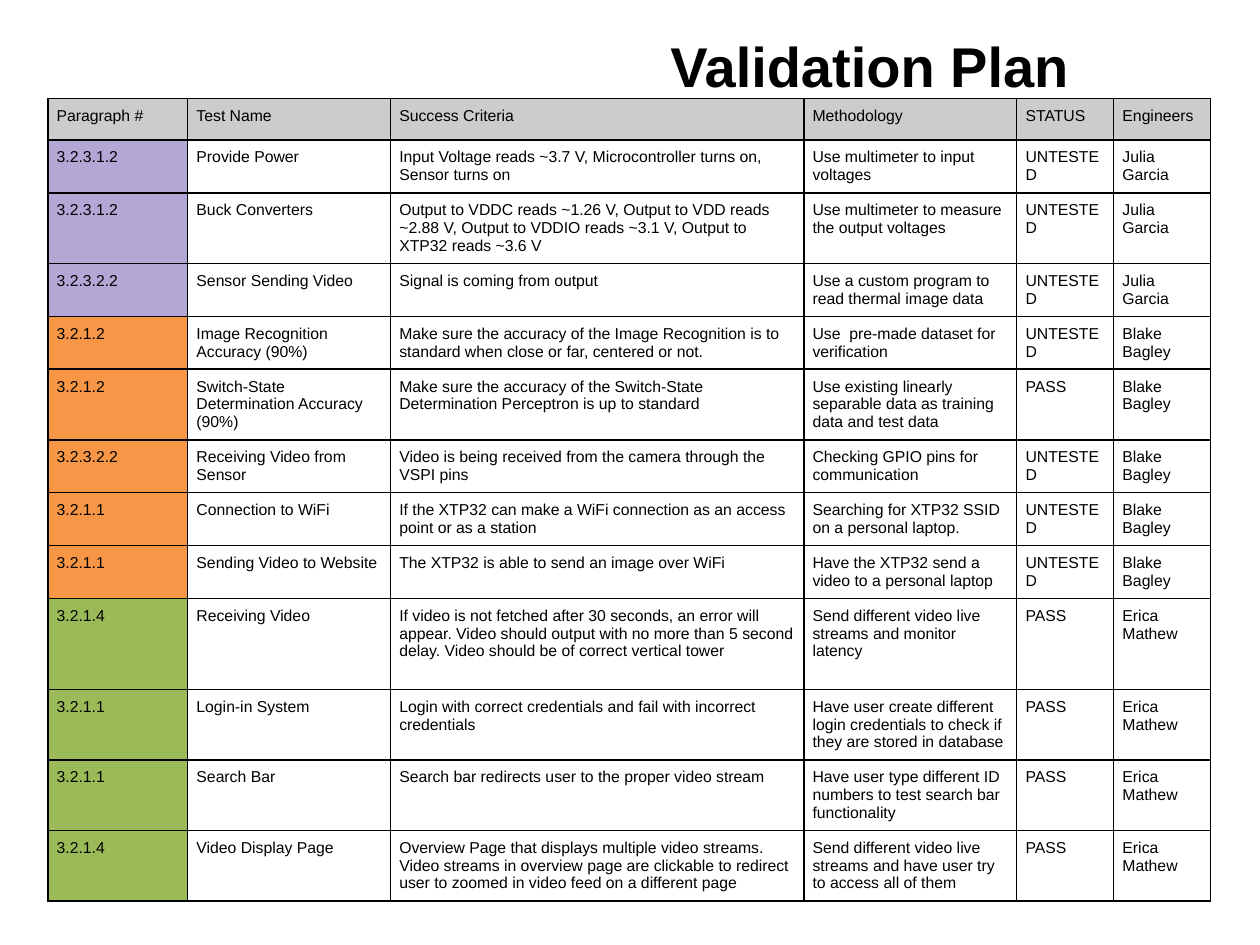
from lxml import etree
from pptx import Presentation
from pptx import util as u
from pptx.dml.color import RGBColor
from pptx.enum import text
from pptx.oxml.ns import qn

TITLE = "Validation Plan "
HEADERS = ["Paragraph #", "Test Name", "Success Criteria", "Methodology", "STATUS", "Engineers"]
GROUPS = [
    ("Julia Garcia", "B4A7D6", [
        ("3.2.3.1.2", "Provide Power",
         "Input Voltage reads ~3.7 V, Microcontroller turns on, Sensor turns on",
         "Use multimeter to input voltages", "UNTESTED"),
        ("3.2.3.1.2", "Buck Converters",
         "Output to VDDC reads ~1.26 V, Output to VDD reads ~2.88 V, "
         "Output to VDDIO reads ~3.1 V, Output to XTP32 reads ~3.6 V",
         "Use multimeter to measure the output voltages", "UNTESTED"),
        ("3.2.3.2.2", "Sensor Sending Video", "Signal is coming from output",
         "Use a custom program to read thermal image data", "UNTESTED"),
    ]),
    ("Blake Bagley", "F79646", [
        ("3.2.1.2", "Image Recognition Accuracy (90%)",
         "Make sure the accuracy of the Image Recognition is to standard "
         "when close or far, centered or not.",
         "Use  pre-made dataset for verification", "UNTESTED"),
        ("3.2.1.2", "Switch-State Determination Accuracy (90%)",
         "Make sure the accuracy of the Switch-State Determination Perceptron is up to standard",
         "Use existing linearly separable data as training data and test data", "PASS"),
        ("3.2.3.2.2", "Receiving Video from Sensor",
         "Video is being received from the camera through the VSPI pins",
         "Checking GPIO pins for communication", "UNTESTED"),
        ("3.2.1.1", "Connection to WiFi",
         "If the XTP32 can make a WiFi connection as an access point or as a station",
         "Searching for XTP32 SSID on a personal laptop.", "UNTESTED"),
        ("3.2.1.1", "Sending Video to Website",
         "The XTP32 is able to send an image over WiFi",
         "Have the XTP32 send a video to a personal laptop", "UNTESTED"),
    ]),
    ("Erica Mathew", "9BBB59", [
        ("3.2.1.4", "Receiving Video",
         "If video is not fetched after 30 seconds, an error will appear. Video should output "
         "with no more than 5 second delay. Video should be of correct vertical tower",
         "Send different video live streams and monitor latency", "PASS"),
        ("3.2.1.1", "Login-in System",
         "Login with correct credentials and fail with incorrect credentials",
         "Have user create different login credentials to check if they are stored in database",
         "PASS"),
        ("3.2.1.1", "Search Bar", "Search bar redirects user to the proper video stream",
         "Have user type different ID numbers to test search bar functionality", "PASS"),
        ("3.2.1.4", "Video Display Page",
         "Overview Page that displays multiple video streams. Video streams in overview page "
         "are clickable to redirect user to zoomed in video feed on a different page",
         "Send different video live streams and have user try to access all of them", "PASS"),
    ]),
]
COL_WIDTHS = [1.11, 1.61, 3.28, 1.69, 0.77, 0.77]
ROW_HEIGHTS = [0.33, 0.42, 0.56, 0.42, 0.42, 0.56, 0.42, 0.42, 0.42, 0.72, 0.56, 0.56, 0.56]
THEME = dict(font="Arial", ink="000000", header="CCCCCC", paper="FFFFFF",
             title=32, body=9, border=1, inset=0.07)


def set_font(p, size, bold=False):
    f = p.font
    f.name, f.size, f.bold = THEME["font"], u.Pt(size), bold
    f.color.rgb = RGBColor.from_string(THEME["ink"])


def set_borders(cell):
    tcPr = cell._tc.get_or_add_tcPr()
    for i, side in enumerate(("lnL", "lnR", "lnT", "lnB")):
        ln = etree.Element(qn(f"a:{side}"), w=str(u.Pt(THEME["border"])))
        fill = etree.SubElement(ln, qn("a:solidFill"))
        etree.SubElement(fill, qn("a:srgbClr"), val=THEME["ink"])
        tcPr.insert(i, ln)


def fill_cell(cell, words, color):
    cell.text = words
    cell.margin_left = cell.margin_right = u.Inches(THEME["inset"])
    cell.margin_top = cell.margin_bottom = u.Inches(THEME["inset"])
    cell.fill.solid()
    cell.fill.fore_color.rgb = RGBColor.from_string(color)
    set_borders(cell)
    set_font(cell.text_frame.paragraphs[0], THEME["body"])


def add_plan(s):
    rows = [(HEADERS, [THEME["header"]] * len(HEADERS))]
    for engineer, color, tests in GROUPS:
        colors = [color] + [THEME["paper"]] * (len(HEADERS) - 1)
        rows += [([*test, engineer], colors) for test in tests]
    tbl = s.shapes.add_table(len(rows), len(HEADERS), u.Inches(0.38), u.Inches(0.78),
                             u.Inches(sum(COL_WIDTHS)), u.Inches(sum(ROW_HEIGHTS))).table
    for col, width in zip(tbl.columns, COL_WIDTHS):
        col.width = u.Inches(width)
    for row, height, (words, colors) in zip(tbl.rows, ROW_HEIGHTS, rows):
        row.height = u.Inches(height)
        for cell, word, color in zip(row.cells, words, colors):
            fill_cell(cell, word, color)


def add_title(s):
    sp = s.shapes.title
    sp.left, sp.top, sp.width, sp.height = map(u.Inches, (4.24, 0.08, 5.45, 0.88))
    tf = sp.text_frame
    tf.text = TITLE
    tf.vertical_anchor = text.MSO_ANCHOR.MIDDLE
    p = tf.paragraphs[0]
    p.alignment = text.PP_ALIGN.CENTER
    set_font(p, THEME["title"], bold=True)
    s.shapes._spTree.append(sp._element)


def main():
    prs = Presentation()
    prs.slide_width, prs.slide_height = u.Inches(10), u.Inches(7.5)
    s = prs.slides.add_slide(prs.slide_layouts[5])
    add_plan(s)
    add_title(s)
    prs.save("out.pptx")


if __name__ == "__main__":
    main()
